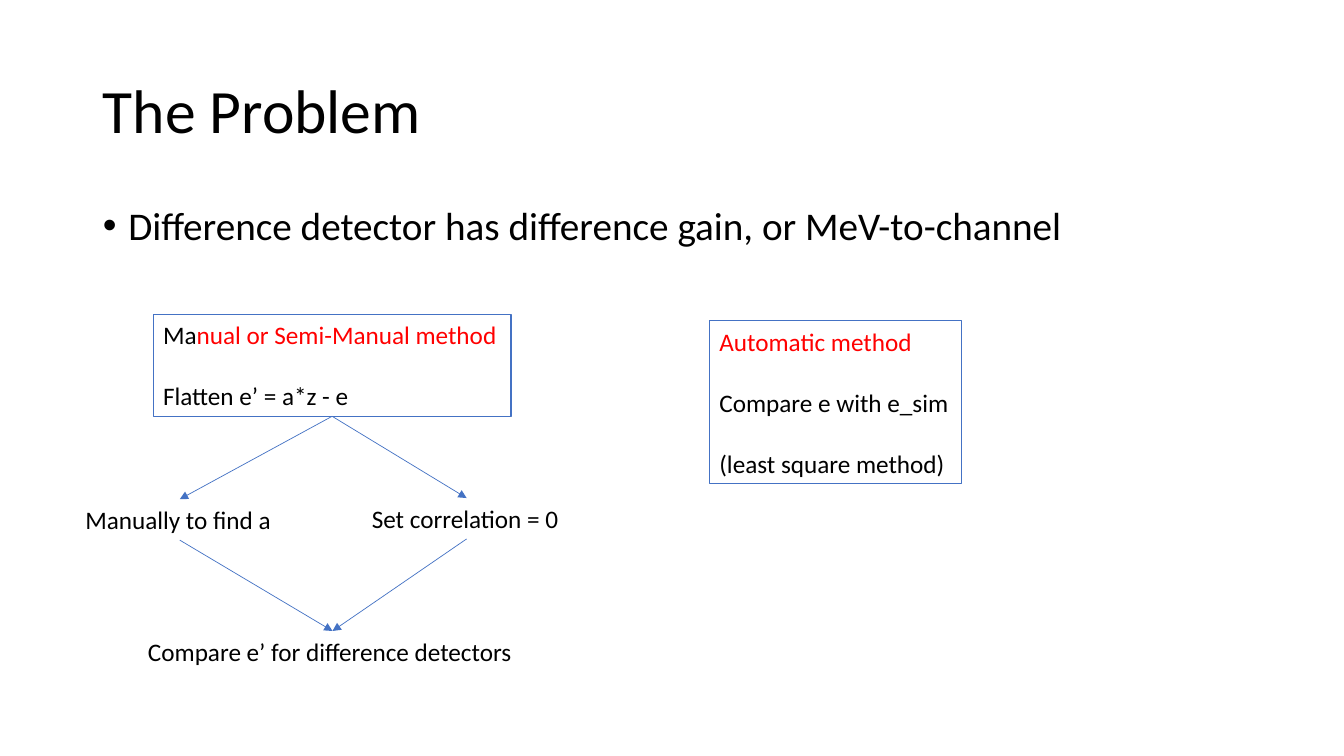
import pptx
import pptx.dml.color
import pptx.enum.shapes
import pptx.enum.text
import pptx.oxml.ns
import pptx.util
from dataclasses import dataclass
from lxml import etree
from pptx.util import Cm, Pt


@dataclass(frozen=True)
class Theme:
    """Colours, font and type sizes of the slide."""
    font: str = "Calibri"
    text: str = "000000"
    accent: str = "FF0000"
    line: str = "4472C4"
    title_size: int = 44
    body_size: int = 28
    label_size: int = 18


theme = Theme()
rgb = pptx.dml.color.RGBColor.from_string
qn = pptx.oxml.ns.qn


def style_paragraph(paragraph, size, color=theme.text):
    """Left-align a paragraph and set its font."""
    paragraph.alignment = pptx.enum.text.PP_ALIGN.LEFT
    paragraph.font.name = theme.font
    paragraph.font.size = Pt(size)
    paragraph.font.color.rgb = rgb(color)


def add_label(left, top, width, height, lines, outlined=False):
    """Add a label; each line is a list of (text, colour) runs."""
    box = [Cm(length) for length in (left, top, width, height)]
    if outlined:
        shape = slide.shapes.add_shape(pptx.enum.shapes.MSO_SHAPE.RECTANGLE, *box)
        shape.shadow.inherit = False
        shape.fill.background()
        shape.line.color.rgb = rgb(theme.line)
        shape.line.width = Pt(0.75)
    else:
        shape = slide.shapes.add_textbox(*box)
    frame = shape.text_frame
    frame.word_wrap = False
    frame.auto_size = pptx.enum.text.MSO_AUTO_SIZE.SHAPE_TO_FIT_TEXT
    for index, runs in enumerate(lines):
        paragraph = frame.add_paragraph() if index else frame.paragraphs[0]
        style_paragraph(paragraph, theme.label_size)
        paragraph.space_before = Pt(22 if index else 0)
        for text, color in runs:
            run = paragraph.add_run()
            run.text = text
            run.font.color.rgb = rgb(color)
    return shape


presentation = pptx.Presentation()
presentation.slide_width = Cm(33.87)
presentation.slide_height = Cm(19.05)
slide = presentation.slides.add_slide(presentation.slide_layouts[1])

# Title and bullet
title, body = slide.placeholders
for placeholder, top, height, size, text in (
    (title, 1.02, 3.68, theme.title_size, "The Problem"),
    (body, 5.08, 2.62, theme.body_size,
     "Difference detector has difference gain, or MeV-to-channel"),
):
    placeholder.left, placeholder.top = Cm(2.34), Cm(top)
    placeholder.width, placeholder.height = Cm(29.21), Cm(height)
    placeholder.text_frame.text = text
    placeholder.text_frame.auto_size = pptx.enum.text.MSO_AUTO_SIZE.NONE
    paragraph = placeholder.text_frame.paragraphs[0]
    style_paragraph(paragraph, size)
    paragraph.line_spacing = 0.9
title.text_frame.vertical_anchor = pptx.enum.text.MSO_ANCHOR.MIDDLE
bullet = body.text_frame.paragraphs[0]
bullet.space_before = Pt(10)
properties = bullet._p.get_or_add_pPr()
properties.set("marL", str(Cm(0.64)))
properties.set("indent", str(-Cm(0.64)))

# Methods and steps
manual_method = add_label(3.86, 7.92, 9.02, 2.57, [
    [("Ma", theme.text), ("nual or Semi-Manual method", theme.accent)],
    [("Flatten e’ = a*z - e", theme.text)],
], outlined=True)
add_label(17.88, 8.08, 6.35, 4.11, [
    [("Automatic method", theme.accent)],
    [("Compare e with e_sim", theme.text)],
    [("(least square method) ", theme.text)],
], outlined=True)
find_manually, set_correlation, compare_detectors = [
    add_label(left, top, width, 1.03, [[(text, theme.text)]])
    for left, top, width, text in (
        (1.9, 12.58, 5.26, "Manually to find a"),
        (9.12, 12.55, 5.28, "Set correlation = 0"),
        (3.48, 15.9, 9.8, "Compare e’ for difference detectors"),
    )
]

# Arrows run from the bottom centre of one step to the top centre of the next
top_site, bottom_site = 0, 2
for start, end in (
    (manual_method, find_manually),
    (manual_method, set_correlation),
    (find_manually, compare_detectors),
    (set_correlation, compare_detectors),
):
    arrow = slide.shapes.add_connector(
        pptx.enum.shapes.MSO_CONNECTOR.STRAIGHT, 0, 0, 0, 0)
    arrow.begin_connect(start, bottom_site)
    arrow.end_connect(end, top_site)
    arrow.line.color.rgb = rgb(theme.line)
    arrow.line.width = Pt(0.5)
    etree.SubElement(arrow.line._get_or_add_ln(), qn("a:tailEnd"), type="triangle")
    etree.SubElement(arrow._element.spPr, qn("a:effectLst"))

presentation.save("out.pptx")
